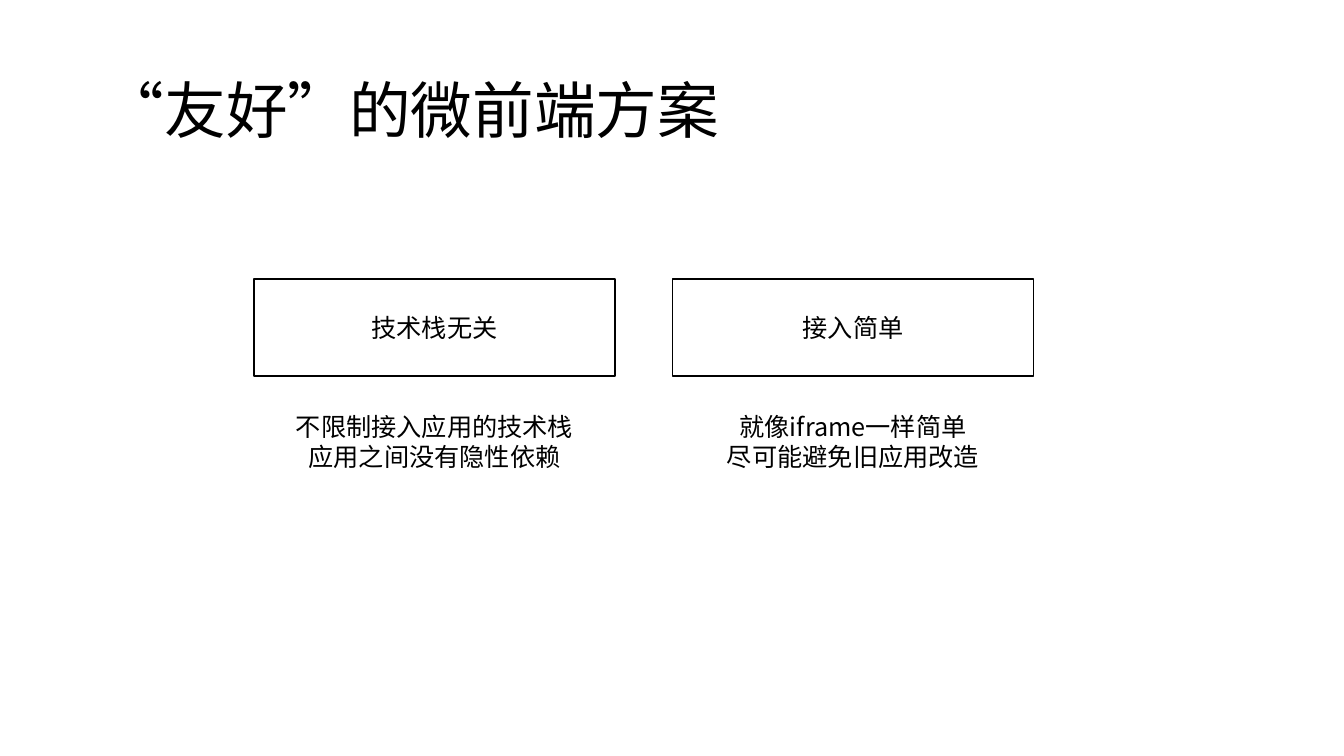
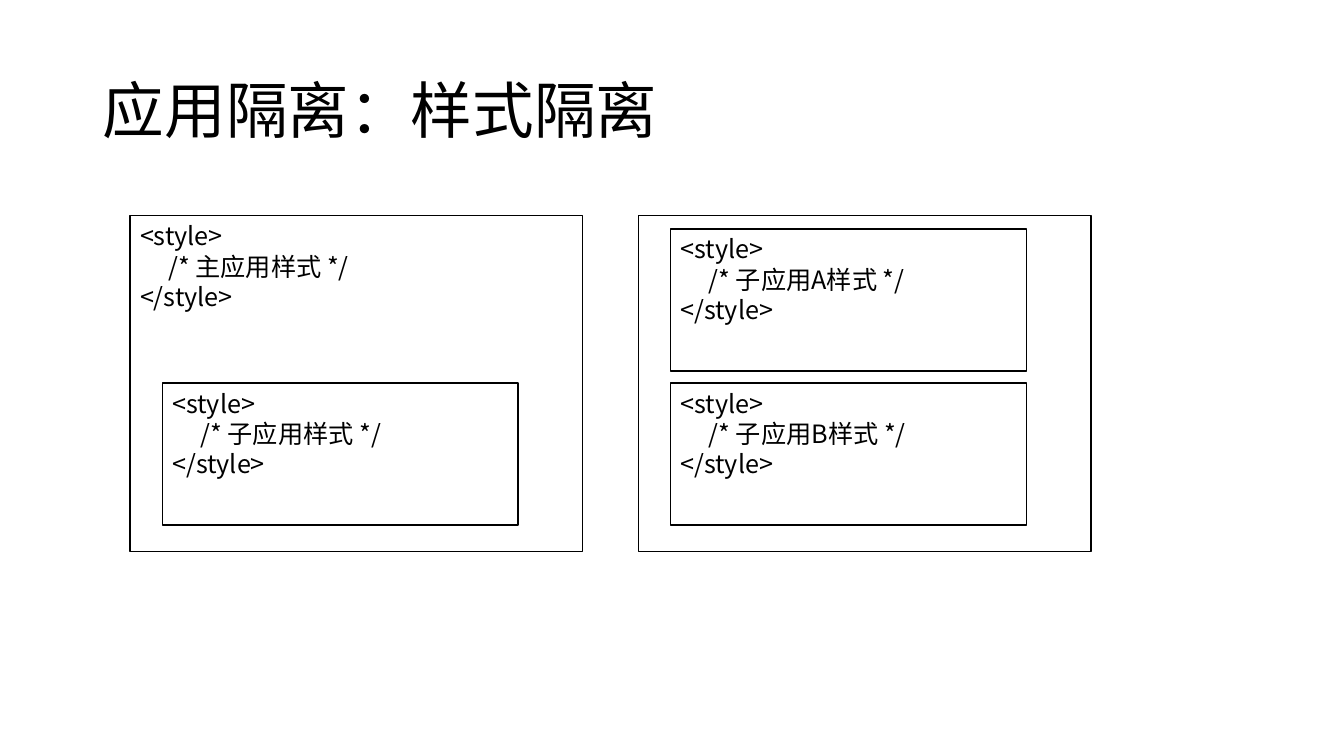
"""Build two slides on micro-frontend design and style isolation."""
from pptx import Presentation
from pptx.dml.color import RGBColor
from pptx.enum.shapes import MSO_SHAPE
from pptx.enum.text import MSO_ANCHOR, MSO_AUTO_SIZE, PP_ALIGN
from pptx.oxml.ns import qn
from pptx.util import Emu, Pt

EMU_PER_PX = 9144
BLACK = RGBColor(0x00, 0x00, 0x00)
WHITE = RGBColor(0xFF, 0xFF, 0xFF)
FONT = "Noto Sans CJK SC"


def px(length):
    """Turn px into EMU."""
    return Emu(length * EMU_PER_PX)


def write(frame, text, size=18, align=PP_ALIGN.LEFT, anchor=MSO_ANCHOR.TOP, spacing=None):
    """Fill a text frame, one paragraph for each line of the text."""
    frame.word_wrap = True
    frame.auto_size = MSO_AUTO_SIZE.NONE
    frame.vertical_anchor = anchor
    for index, line in enumerate(text.split("\n")):
        paragraph = frame.paragraphs[0] if index == 0 else frame.add_paragraph()
        paragraph.alignment = align
        paragraph.line_spacing = spacing
        run = paragraph.add_run()
        run.text = line
        run.font.size = Pt(size)
        run.font.name = FONT
        run.font.color.rgb = BLACK
        properties = run.font._element
        properties.set("lang", "zh-CN")
        east_asian = properties.makeelement(qn("a:ea"), {"typeface": FONT})
        properties.find(qn("a:latin")).addnext(east_asian)


def add_titled_slide(deck, title):
    """Add a title-only slide with the shared title style."""
    slide = deck.slides.add_slide(deck.slide_layouts[5])
    heading = slide.shapes.title
    heading.left, heading.top = px(92), px(40)
    heading.width, heading.height = px(1150), px(145)
    write(heading.text_frame, title, size=44, anchor=MSO_ANCHOR.MIDDLE, spacing=0.9)
    return slide


def add_box(slide, left, top, width, height, text="", fill=None, **text_format):
    """Add an outlined rectangle with optional fill and text."""
    box = slide.shapes.add_shape(
        MSO_SHAPE.RECTANGLE, px(left), px(top), px(width), px(height))
    box.shadow.inherit = False
    if fill is None:
        box.fill.background()
    else:
        box.fill.solid()
        box.fill.fore_color.rgb = fill
    box.line.color.rgb = BLACK
    box.line.width = Pt(1)
    if text:
        write(box.text_frame, text, **text_format)


def add_caption(slide, left, top, width, height, text, **text_format):
    """Add a plain text box."""
    caption = slide.shapes.add_textbox(px(left), px(top), px(width), px(height))
    write(caption.text_frame, text, **text_format)


def style_code(subject):
    """Return a style element whose comment names its owner."""
    return f"<style>\n     /* {subject}样式 */\n</style>"


def build_principles(deck):
    """Show the two principles with their explanations."""
    slide = add_titled_slide(deck, "“友好”的微前端方案")
    principles = [
        ("技术栈无关", "不限制接入应用的技术栈\n应用之间没有隐性依赖"),
        ("接入简单", "就像iframe一样简单\n尽可能避免旧应用改造"),
    ]
    centred = {"align": PP_ALIGN.CENTER, "anchor": MSO_ANCHOR.MIDDLE}
    width, height = 358, 96
    for column, (principle, explanation) in enumerate(principles):
        left = 252 + column * 415
        add_box(slide, left, 277, width, height, principle, fill=WHITE, **centred)
        add_caption(slide, left, 390, width, height, explanation, **centred)


def build_style_isolation(deck):
    """Show parent-child and sibling style scopes side by side."""
    slide = add_titled_slide(deck, "应用隔离：样式隔离")
    upper_row, lower_row = 227, 380
    scopes = [
        (style_code("主应用"), [("子应用", lower_row)]),
        ("", [("子应用A", upper_row), ("子应用B", lower_row)]),
    ]
    for column, (host_code, children) in enumerate(scopes):
        left = 129 + column * 504
        add_box(slide, left, 214, 449, 333, host_code)
        for child, top in children:
            add_box(slide, left + 32, top, 353, 141, style_code(child))


def main():
    """Build and save the presentation."""
    deck = Presentation()
    deck.slide_width, deck.slide_height = px(1333), px(750)
    build_principles(deck)
    build_style_isolation(deck)
    deck.save("out.pptx")


if __name__ == "__main__":
    main()
